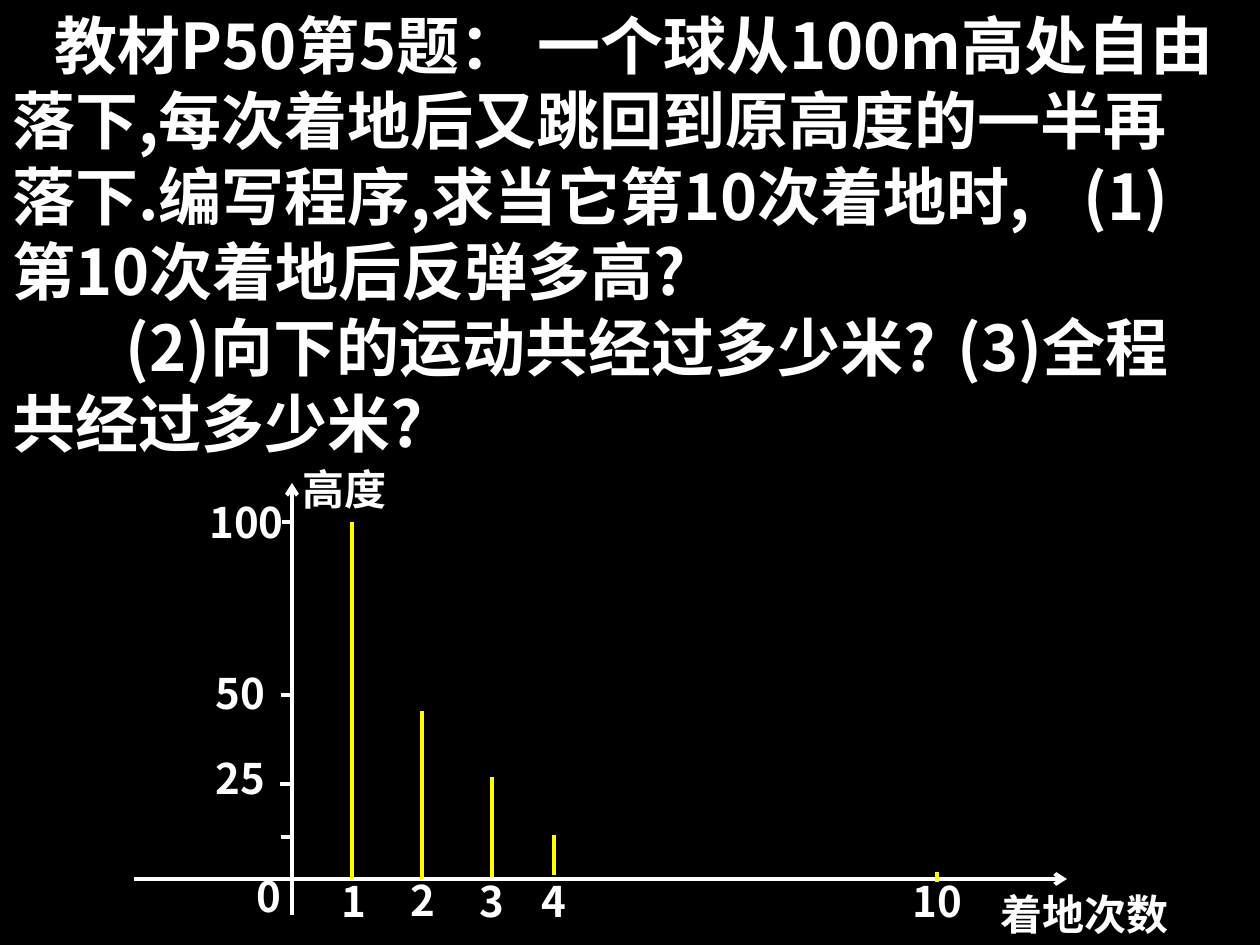
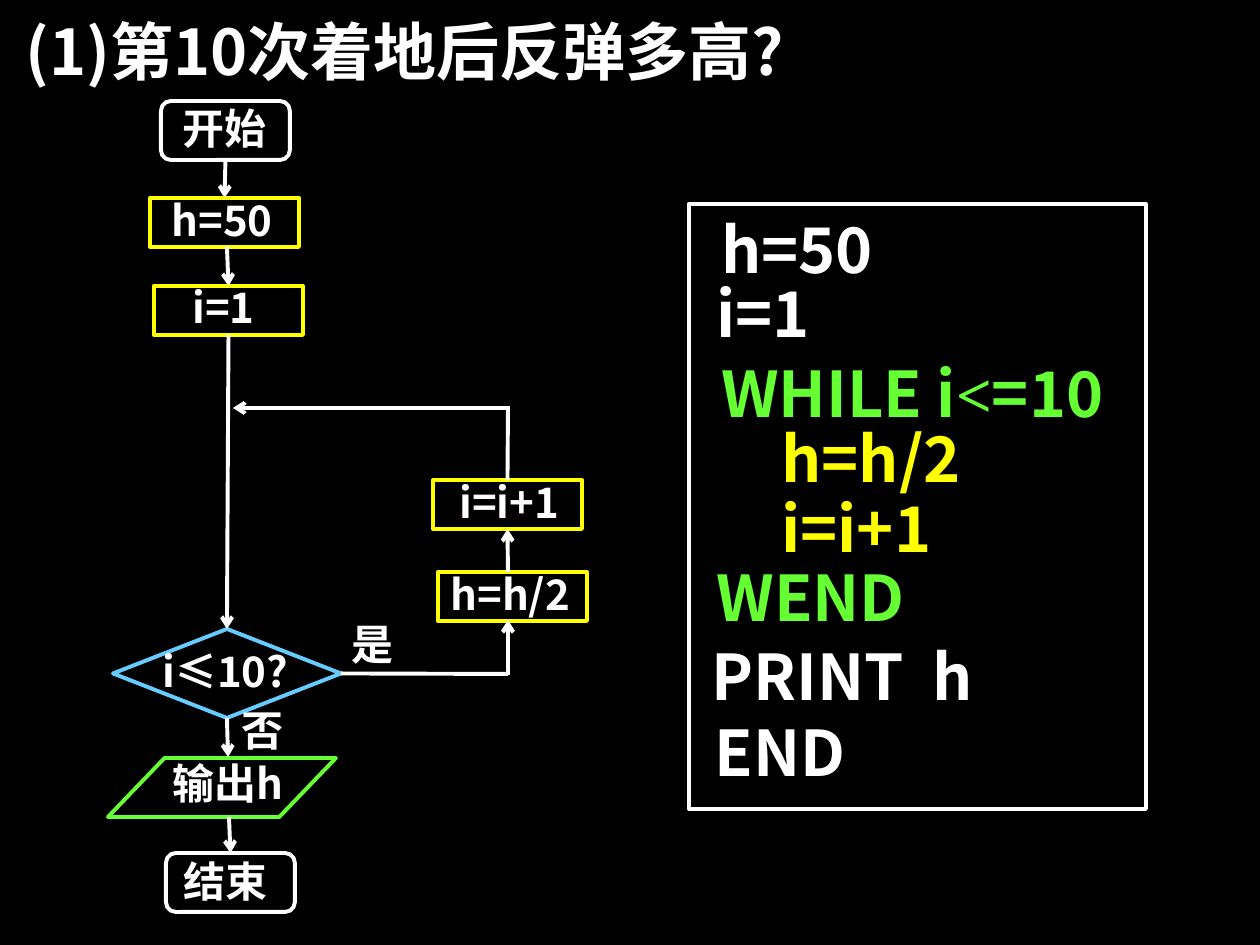
import pptx
import pptx.dml.color
import pptx.enum.shapes
import pptx.enum.text
import pptx.oxml.ns
import pptx.util
from lxml import etree

PX = 7257  # EMU in one px, 126 px to the inch
FONT = "Noto Sans CJK SC"
WHITE, YELLOW, GREEN, BLUE = "FFFFFF", "FFFF00", "66FF33", "66CCFF"
BIG, SMALL = 36, 24
BOX_HEIGHT = {BIG: 88, SMALL: 63}
LINE_WIDTH = pptx.util.Pt(2.25)
color = pptx.dml.color.RGBColor.from_string
qn = pptx.oxml.ns.qn
SHAPE = pptx.enum.shapes.MSO_SHAPE


def add_text(slide, left, top, width, runs, size=SMALL, hue=WHITE):
    """Add a one-paragraph text box; runs are (text, font) pairs."""
    box = slide.shapes.add_textbox(left * PX, top * PX, width * PX, BOX_HEIGHT[size] * PX)
    frame = box.text_frame
    frame.word_wrap = True
    frame.auto_size = pptx.enum.text.MSO_AUTO_SIZE.SHAPE_TO_FIT_TEXT
    for text, font in runs:
        run = frame.paragraphs[0].add_run()
        run.text = text
        run.font.size = pptx.util.Pt(size)
        run.font.bold = True
        run.font.color.rgb = color(hue)
        run.font.name = font
        etree.SubElement(run.font._element, qn("a:ea"), typeface=FONT)
    return box


def add_line(slide, start, end, hue=WHITE, arrow=False):
    """Add a straight line, with an open arrowhead at its end if asked."""
    line = slide.shapes.add_connector(
        pptx.enum.shapes.MSO_CONNECTOR.STRAIGHT,
        start[0] * PX, start[1] * PX, end[0] * PX, end[1] * PX)
    line.line.color.rgb = color(hue)
    line.line.width = LINE_WIDTH
    if arrow:
        etree.SubElement(line.line._get_or_add_ln(), qn("a:tailEnd"), type="arrow")
    etree.SubElement(line._element.spPr, qn("a:effectLst"))
    return line


presentation = pptx.Presentation()
presentation.slide_width = pptx.util.Inches(10)
presentation.slide_height = pptx.util.Inches(7.5)
slides = []
for number in range(2):
    slide = presentation.slides.add_slide(presentation.slide_layouts[6])
    slide.background.fill.solid()
    slide.background.fill.fore_color.rgb = color("000000")
    slides.append(slide)
problem_slide, flow_slide = slides

# Problem statement: first-line indents and tab stops make the gaps
statement = [
    (42, 313, "教材P50第5题： 一个球从100m高处自由落下,每次着地后又跳回到原高度的一半再落下."
              "编写程序,求当它第10次着地时,\t(1)第10次着地后反弹多高?"),
    (113, 1111, "(2)向下的运动共经过多少米?\t(3)全程共经过多少米?"),
]
box = add_text(problem_slide, 0, 0, 1226, [(statement[0][2], FONT)], BIG)
box.height = 466 * PX
first_run = box.text_frame.paragraphs[0].runs[0]
for index, (indent, tab, text) in enumerate(statement):
    if index:
        paragraph = box.text_frame.add_paragraph()
        run = paragraph.add_run()
        run.text = text
        run.font.size, run.font.bold = first_run.font.size, True
        run.font.color.rgb = color(WHITE)
        run.font.name = FONT
        etree.SubElement(run.font._element, qn("a:ea"), typeface=FONT)
    else:
        paragraph = box.text_frame.paragraphs[0]
    properties = paragraph._p.get_or_add_pPr()
    properties.set("marL", "0")
    properties.set("indent", str(indent * PX))
    tabs = etree.SubElement(properties, qn("a:tabLst"))
    etree.SubElement(tabs, qn("a:tab"), pos=str(tab * PX), algn="l")

# Axes with ticks
add_line(problem_slide, (134, 879), (1067, 879), arrow=True)
add_line(problem_slide, (292, 915), (292, 483), arrow=True)
for x, y in [(282, 522), (281, 695), (280, 784), (281, 837)]:
    add_line(problem_slide, (x, y), (x + 10, y))

# Height before each landing
for x, top, bottom in [(352, 522, 879), (422, 711, 879), (492, 777, 877),
                       (554, 835, 875), (937, 872, 882)]:
    add_line(problem_slide, (x, top), (x, bottom), YELLOW)

# Axis labels
for text, left, top, width in [
    ("100", 197, 490, 110), ("50", 203, 661, 110), ("25", 203, 746, 110),
    ("0", 244, 864, 69), ("1", 329, 869, 69), ("2", 398, 868, 67),
    ("3", 467, 869, 59), ("4", 529, 869, 59), ("10", 900, 869, 79),
    ("着地次数", 988, 882, 198), ("高度", 290, 457, 139),
]:
    add_text(problem_slide, left, top, width, [(text, FONT)])

# Flow chart title
add_text(flow_slide, 13, 6, 856, [("(1)第10次着地后反弹多高?", FONT)], BIG)

# Flow chart outlines and the program frame
nodes = {}
for name, kind, left, top, width, height, hue in [
    ("start", SHAPE.ROUNDED_RECTANGLE, 161, 101, 129, 59, WHITE),
    ("set h", SHAPE.RECTANGLE, 150, 198, 149, 49, YELLOW),
    ("set i", SHAPE.RECTANGLE, 154, 286, 149, 49, YELLOW),
    ("test", SHAPE.DIAMOND, 113, 629, 228, 89, BLUE),
    ("halve h", SHAPE.RECTANGLE, 438, 572, 149, 49, YELLOW),
    ("next i", SHAPE.RECTANGLE, 433, 480, 149, 49, YELLOW),
    ("output", SHAPE.PARALLELOGRAM, 108, 758, 228, 59, GREEN),
    ("finish", SHAPE.ROUNDED_RECTANGLE, 166, 853, 129, 59, WHITE),
    ("program", SHAPE.RECTANGLE, 689, 204, 457, 605, WHITE),
]:
    shape = flow_slide.shapes.add_shape(kind, left * PX, top * PX, width * PX, height * PX)
    shape.shadow.inherit = False
    shape.fill.background()
    shape.line.color.rgb = color(hue)
    shape.line.width = LINE_WIDTH
    nodes[name] = shape
nodes["output"].adjustments[0] = 0.96

# Flow lines: ends are joined to (node, side) where they meet a side's middle
for start, end, arrow, begin_node, end_node in [
    ((225, 160), (225, 198), True, ("start", 2), ("set h", 0)),
    ((227, 247), (228, 286), True, None, ("set i", 0)),
    ((228, 335), (227, 629), True, ("set i", 2), ("test", 0)),
    ((227, 718), (228, 757), True, ("test", 2), None),
    ((229, 817), (230, 853), True, None, ("finish", 0)),
    ((341, 674), (508, 674), False, ("test", 3), None),
    ((508, 675), (508, 620), True, None, None),
    ((508, 572), (508, 529), True, None, ("next i", 2)),
    ((507, 480), (508, 410), False, ("next i", 0), None),
    ((510, 408), (233, 408), True, None, None),
]:
    line = add_line(flow_slide, start, end, arrow=arrow)
    if begin_node:
        line.begin_connect(nodes[begin_node[0]], begin_node[1])
    if end_node:
        line.end_connect(nodes[end_node[0]], end_node[1])

# Flow chart labels
for text, left, top, width, font in [
    ("开始", 170, 96, 159, "Arial"), ("h=50", 159, 188, 159, FONT),
    ("i=1", 180, 275, 110, FONT), ("i≤10?", 150, 639, 159, FONT),
    ("h=h/2", 438, 562, 159, FONT), ("i=i+1", 447, 470, 159, FONT),
    ("输出h", 160, 751, 159, FONT), ("结束", 171, 849, 139, "Arial"),
    ("是", 339, 612, 89, "Arial"), ("否", 229, 698, 59, "Arial"),
]:
    add_text(flow_slide, left, top, width, [(text, font)])

# Program listing
for runs, left, top, width, hue in [
    ([("h=50", FONT)], 709, 204, 372, WHITE),
    ([("i=1", FONT)], 704, 268, 372, WHITE),
    ([("WHILE i", FONT), ("<", "Times New Roman"), ("=10", FONT)], 709, 348, 456, GREEN),
    ([("h=h/2", FONT)], 769, 413, 348, YELLOW),
    ([("i=i+1", FONT)], 769, 483, 348, YELLOW),
    ([("WEND", FONT)], 704, 552, 348, GREEN),
    ([("PRINT  h", FONT)], 699, 631, 348, WHITE),
    ([("END", FONT)], 702, 707, 198, WHITE),
]:
    add_text(flow_slide, left, top, width, runs, BIG, hue)

presentation.save("out.pptx")
